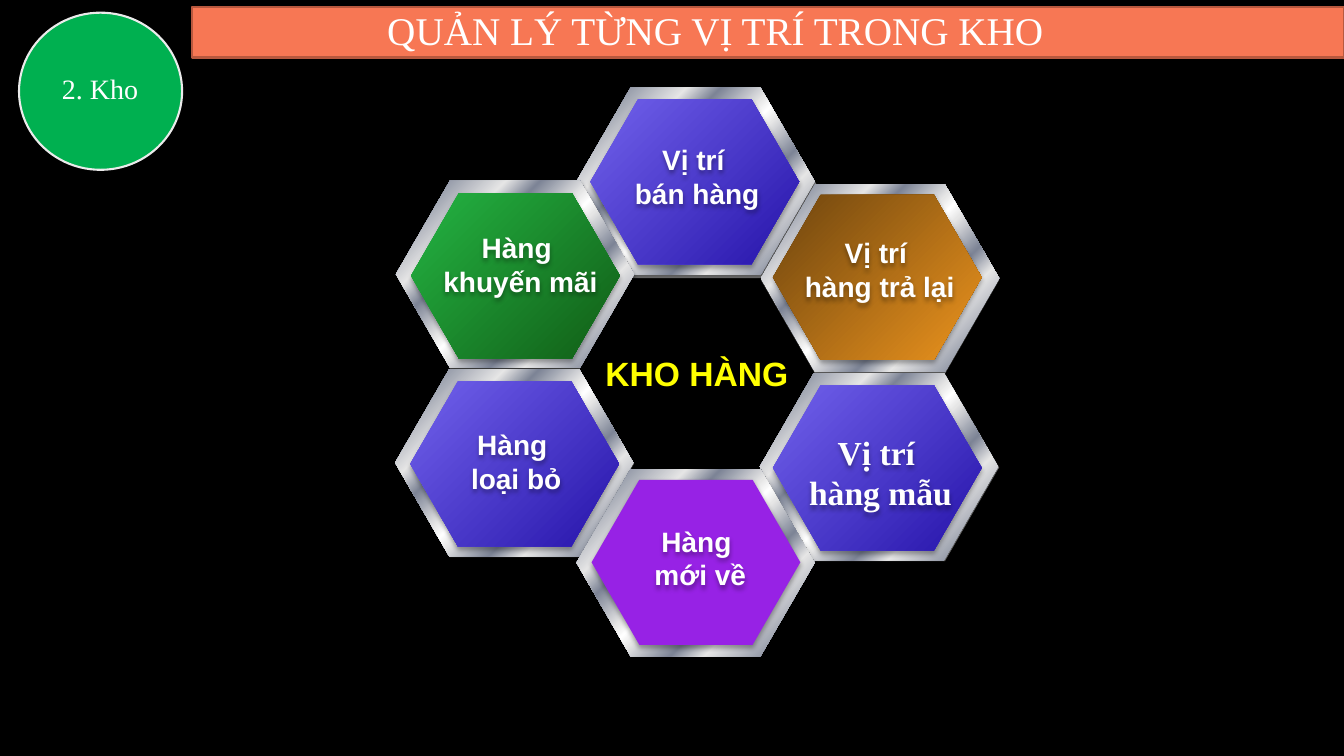
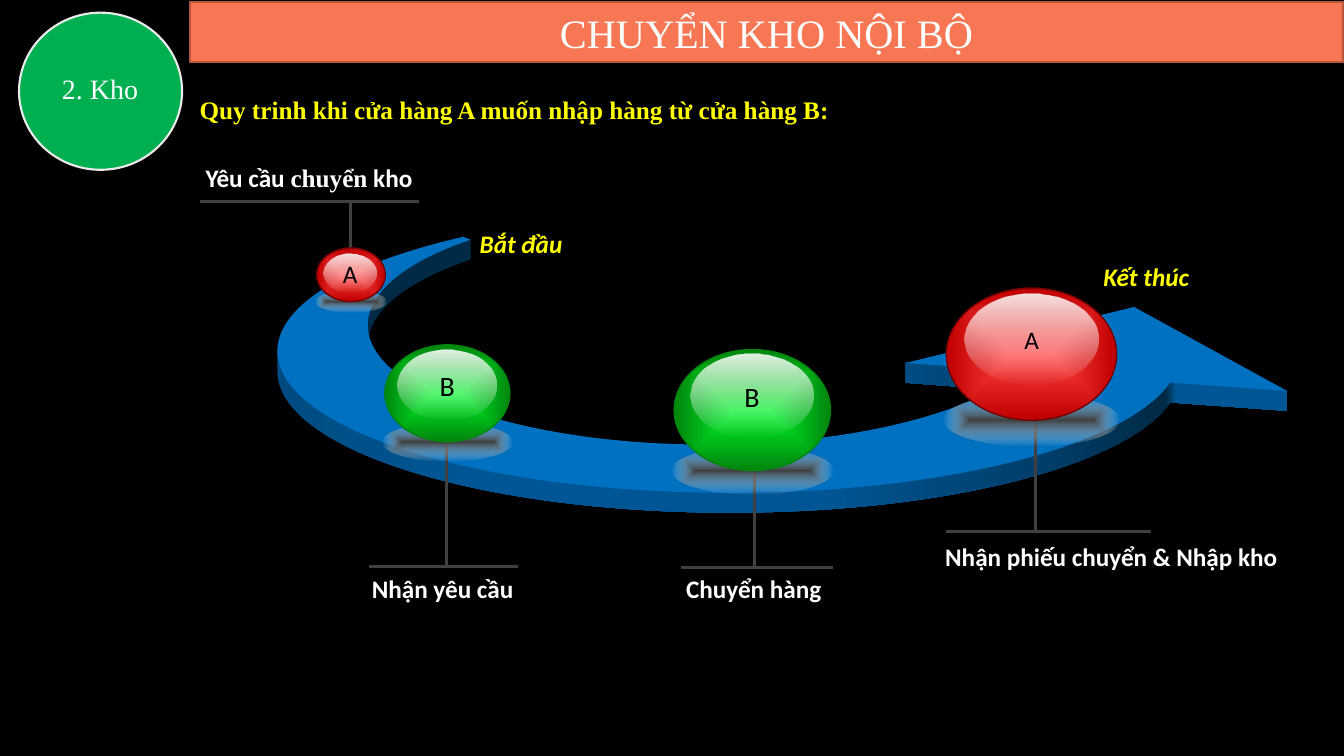
from lxml import etree
from pptx import Presentation
from pptx import util as u
from pptx.dml.color import RGBColor
from pptx.enum import shapes, text
from pptx.oxml import parse_xml
from pptx.oxml.ns import qn

A_NS = 'xmlns:a="http://schemas.openxmlformats.org/drawingml/2006/main"'
SERIF, SANS, BODY = "Times New Roman", "Arial", "Calibri"
BLACK, WHITE, YELLOW, GREY = "000000", "FFFFFF", "FFFF00", "404040"
BAND, BAND_LINE, BADGE, BADGE_LINE = "F77754", "B7583E", "00B050", "EBEBEB"

BASE = "808080"
STEEL = [(0, "E6E6E6"), (8, "7D8496"), (26, "E6E6E6"), (34, "7D8496"),
         (46, "E6E6E6"), (50, "FFFFFF"), (54, "E6E6E6"), (66, "7D8496"),
         (74, "E6E6E6"), (92, "7D8496"), (100, "E6E6E6")]
BLUE = [(0, "7262EC"), (100, "2614AA")]
GREEN = [(0, "24B443"), (100, "115D16")]
BROWN = [(0, "6D440E"), (100, "EC941E")]
PURPLE = "9722E5"

# Lengths in cm. Hexagon: lines, font, size, face paint,
# centres of base (if any), rim, face and label
RIM, FACE, LABEL = (6.0, 4.72), (5.26, 4.16), (4.6, 2.0)
LOCATIONS = [
    ("Vị trí \nbán hàng", SANS, 20, BLUE,
     (17.58, 4.65), (17.53, 4.57), (17.51, 4.58), (17.57, 4.44)),
    ("Hàng \nkhuyến mãi", SANS, 20, GREEN,
     (12.98, 6.93), (12.98, 6.91), (12.99, 6.95), (13.12, 6.66)),
    ("Vị trí \nhàng trả lại", SANS, 20, BROWN,
     (22.18, 7.06), (22.18, 7.01), (22.11, 6.99), (22.17, 6.79)),
    ("Vị trí \nhàng mẫu", SERIF, 24, BLUE,
     (22.18, 11.78), (22.15, 11.76), (22.11, 11.79), (22.19, 11.9)),
    ("Hàng \nloại bỏ", SANS, 20, BLUE,
     (12.98, 11.68), (12.96, 11.66), (12.97, 11.69), (13.01, 11.62)),
    ("Hàng \nmới về", SANS, 20, PURPLE,
     None, (17.53, 14.18), (17.54, 14.17), (17.65, 14.06)),
]

RED_BALL = ([(0, "FF4242"), (100, "C00000")], "760000")
GREEN_BALL = ([(0, "00F228"), (100, "00860D")], "00860D")
HALO = [(0, GREY, 100), (100, WHITE, 0)]
GLOSS = [(0, WHITE, 90), (100, WHITE, 0)]
# Letter, size, paint, ball box, gloss box, stem x, bar (from x, to x, y),
# label position, label runs
STEPS = [
    ("A", 18, RED_BALL, (7.98, 6.25, 1.73, 1.35), (8.15, 6.4, 1.35, 0.97),
     8.84, (5.03, 10.57, 5.08),
     (4.93, 3.96), [("Yêu cầu ", BODY), ("chuyển", SERIF), (" kho", BODY)]),
    ("B", 20, GREEN_BALL, (9.7, 8.69, 3.15, 2.44), (10.03, 8.81, 2.49, 1.78),
     11.25, (9.3, 13.06, 14.27),
     (9.12, 14.33), [("Nhận yêu cầu", BODY)]),
    ("B", 20, GREEN_BALL, (16.99, 8.81, 3.94, 3.05), (17.4, 8.92, 3.1, 2.11),
     19.02, (17.17, 20.98, 14.29),
     (17.04, 14.33), [("Chuyển hàng", BODY)]),
    ("A", 18, RED_BALL, (23.85, 7.26, 4.29, 3.33), (24.31, 7.39, 3.38, 2.31),
     26.09, (23.85, 29.01, 13.39),
     (23.57, 13.51), [("Nhận phiếu chuyển & Nhập kho", BODY)]),
]
ENDS = [("Kết thúc", 27.56, 6.45), ("Bắt đầu", 11.84, 5.64)]

# The arrow seen from above; it is then tilted and given a thickness.
# Edges are lists of pieces: four points make a curve, two a line.
TILT, RISE, DEPTH = 0.424, 5.3, 0.5
TAIL_INNER = [[(11.86, 1.75), (10.26, 3.02), (9.27, 4.83), (9.27, 6.83)]]
INNER = [[(9.27, 6.83), (9.27, 10.74), (13.11, 13.92), (17.83, 13.92)],
         [(17.83, 13.92), (21.39, 13.92), (24.43, 12.12), (25.73, 9.58)]]
BARB = [[(25.73, 9.58), (22.83, 9.07)]]
HEAD = [[(22.83, 9.07), (28.58, 5.74)], [(28.58, 5.74), (32.44, 10.74)]]
NECK = [[(32.44, 10.74), (29.49, 10.24)]]
OUTER = [[(29.49, 10.24), (28.37, 14.0), (23.83, 16.79), (18.39, 16.79)],
         [(18.39, 16.79), (12.09, 16.79), (6.99, 13.03), (6.99, 8.38)]]
TAIL_OUTER = [[(6.99, 8.38), (6.99, 5.56), (8.84, 3.1), (11.68, 1.57)]]
ARROW, WALL, DARK_WALL = "0070C0", "005694", "002A45"
OUTER_WALL = [(0, "004C82"), (20, WALL), (53, WALL), (75, "003F6C"),
              (88, DARK_WALL), (89, WALL), (100, WALL)]


def rgb(value):
    return RGBColor.from_string(value)


def paint(shape, fill, angle=45, radial=False):
    """Fill with one colour, or with a gradient given as (position, colour[, alpha]) stops."""
    if isinstance(fill, str):
        shape.fill.solid()
        shape.fill.fore_color.rgb = rgb(fill)
        return
    stops = ""
    for position, color, *alpha in fill:
        opacity = f'<a:alpha val="{alpha[0] * 1000}"/>' if alpha else ""
        stops += (f'<a:gs pos="{position * 1000}"><a:srgbClr val="{color}">'
                  f'{opacity}</a:srgbClr></a:gs>')
    course = (f'<a:lin ang="{angle * 60000}" scaled="0"/>' if not radial else
              '<a:path path="shape"><a:fillToRect l="50000" t="50000" r="50000" b="50000"/></a:path>')
    shape.fill.background()
    plain = shape.element.spPr.find(qn("a:noFill"))
    plain.getparent().replace(plain, parse_xml(
        f'<a:gradFill {A_NS} rotWithShape="1"><a:gsLst>{stops}</a:gsLst>{course}</a:gradFill>'))


def finish(shape, fill, line=None, width=1.5, **gradient):
    shape.shadow.inherit = False
    paint(shape, fill, **gradient)
    if line:
        shape.line.color.rgb = rgb(line)
        shape.line.width = u.Pt(width)
    else:
        shape.line.fill.background()
    return shape


def add_preset(page, kind, box, fill, line=None, width=1.5, **gradient):
    shape = page.shapes.add_shape(kind, *(u.Cm(v) for v in box))
    return finish(shape, fill, line, width, **gradient)


def drop_shadow(shape):
    shape.shadow.inherit = False
    effects = shape.element.spPr.find(qn("a:effectLst"))
    effects.append(parse_xml(
        f'<a:outerShdw {A_NS} blurRad="44450" dist="27940" dir="5400000" algn="ctr" '
        'rotWithShape="0"><a:srgbClr val="000000"><a:alpha val="32000"/></a:srgbClr></a:outerShdw>'))


def write(shape, lines, size, color, align=text.PP_ALIGN.CENTER, bold=False,
          italic=False, anchor=text.MSO_ANCHOR.MIDDLE, wrap=True, spacing=None):
    """Write lines, each a list of (text, font) runs."""
    frame = shape.text_frame
    frame.word_wrap = wrap
    frame.vertical_anchor = anchor
    for index, runs in enumerate(lines):
        para = frame.add_paragraph() if index else frame.paragraphs[0]
        para.alignment = align
        para.line_spacing = spacing
        for words, font in runs:
            span = para.add_run()
            span.text = words
            span.font.name = font
            span.font.size = u.Pt(size)
            span.font.bold = bold
            span.font.italic = italic
            span.font.color.rgb = rgb(color)


def add_text(page, box, lines, size, color, **style):
    shape = page.shapes.add_textbox(*(u.Cm(v) for v in box))
    write(shape, lines, size, color, **style)
    return shape


def add_note(page, left, top, width, runs, color, italic=False):
    add_text(page, (left, top, width, 1.03), [runs], 18, color, bold=True, italic=italic,
             align=text.PP_ALIGN.LEFT, anchor=text.MSO_ANCHOR.TOP)


def add_line(page, x1, y1, x2, y2):
    line = page.shapes.add_connector(shapes.MSO_CONNECTOR.STRAIGHT,
                                     *(u.Cm(v) for v in (x1, y1, x2, y2)))
    line.line.color.rgb = rgb(GREY)
    line.line.width = u.Pt(2.25)
    etree.SubElement(line.element.spPr, qn("a:effectLst"))


def centred(centre, size):
    return centre[0] - size[0] / 2, centre[1] - size[1] / 2, *size


def add_page(deck):
    page = deck.slides.add_slide(deck.slide_layouts[6])
    page.background.fill.solid()
    page.background.fill.fore_color.rgb = rgb(BLACK)
    return page


def add_band(page, title, box, size, indent=None):
    """Title band; centred unless an indent from the left is given."""
    band = add_preset(page, shapes.MSO_SHAPE.RECTANGLE, box, BAND, BAND_LINE)
    align, spacing = text.PP_ALIGN.CENTER, None
    if indent:
        band.text_frame.margin_left = u.Cm(indent)
        align, spacing = text.PP_ALIGN.LEFT, 0.9
    write(band, [[(title, SERIF)]], size, WHITE, align=align, spacing=spacing)


def add_badge(page):
    add_preset(page, shapes.MSO_SHAPE.OVAL, (0.48, 0.32, 4.11, 3.96), BADGE, BADGE_LINE)
    add_text(page, (1.07, 0.89, 2.9, 2.79), [[("2. Kho", SERIF)]], 20, WHITE, spacing=0.9)


def add_hexagon(page, centre, size, fill):
    shape = add_preset(page, shapes.MSO_SHAPE.HEXAGON, centred(centre, size), fill)
    shape.adjustments[0] = 0.289
    drop_shadow(shape)


def add_outline(page, contours, fill):
    """Freeform of closed contours, each a list of lines and curves."""
    builder = None
    for pieces in contours:
        points = [(u.Cm(x), u.Cm(y)) for piece in pieces for x, y in piece[1:]]
        start = [u.Cm(v) for v in pieces[0][0]]
        if builder:
            builder.move_to(*start)
        else:
            builder = page.shapes.build_freeform(*start)
        builder.add_line_segments(points, close=True)
    shape = builder.convert_to_shape()
    steps = iter(list(shape.element.spPr.iter(qn("a:lnTo"))))
    for pieces in contours:
        for piece in pieces:
            first, *others = [next(steps) for _ in piece[1:]]
            if others:
                first.tag = qn("a:cubicBezTo")
                for other in others:
                    first.append(other[0])
                    other.getparent().remove(other)
    finish(shape, fill, angle=0)


def tilt(pieces, drop=0):
    return [[(x, RISE + TILT * y + drop) for x, y in piece] for piece in pieces]


def wall(pieces):
    """Contour of the side face that hangs below an edge."""
    upper, lower = tilt(pieces), tilt(pieces, DEPTH)
    back = [piece[::-1] for piece in reversed(lower)]
    return upper + [[upper[-1][-1], back[0][0]]] + back


def add_arrow(page):
    add_outline(page, [wall(TAIL_INNER)], DARK_WALL)
    add_outline(page, [wall(edge) for edge in (OUTER, BARB, NECK)], OUTER_WALL)
    add_outline(page, [tilt(TAIL_INNER + INNER + BARB + HEAD + NECK + OUTER + TAIL_OUTER)], ARROW)


def add_step(page, letter, size, colors, ball, gloss, stem, bar, spot, label):
    left, top, width, height = ball
    start, end, level = bar
    oval = shapes.MSO_SHAPE.OVAL
    add_line(page, stem, top + height / 2, stem, level)
    add_line(page, start, level, end, level)
    add_preset(page, oval, centred((left + width / 2, top + height), (width * 1.035, height * 0.4)),
               HALO, radial=True)
    add_preset(page, oval, ball, *colors, width=1, radial=True)
    shine = add_preset(page, oval, gloss, GLOSS, angle=90)
    write(shine, [[(letter, BODY)]], size, BLACK, wrap=False)
    add_note(page, *spot, 9.5, label, WHITE)


def build_locations(deck):
    page = add_page(deck)
    for words, font, size, fill, base, rim, face, label in LOCATIONS:
        if base:
            add_hexagon(page, base, RIM, BASE)
        add_hexagon(page, rim, RIM, STEEL)
        add_hexagon(page, face, FACE, fill)
        box = add_text(page, centred(label, LABEL), [[(line, font)] for line in words.split("\n")],
                       size, WHITE, bold=True, wrap=False)
        drop_shadow(box)
    add_text(page, centred((17.56, 9.4), (5.26, 1.27)), [[("KHO HÀNG", SANS)]],
             24, YELLOW, bold=True)
    add_band(page, "QUẢN LÝ TỪNG VỊ TRÍ TRONG KHO", (4.83, 0.18, 29.04, 1.27), 28, indent=4.93)
    add_badge(page)


def build_transfer(deck):
    page = add_page(deck)
    add_band(page, "CHUYỂN KHO NỘI BỘ", (4.78, 0.05, 29.08, 1.52), 28.8)
    add_arrow(page)
    for step in STEPS:
        add_step(page, *step)
    for words, left, top in ENDS:
        add_note(page, left, top, 4, [(words, BODY)], YELLOW, italic=True)
    add_note(page, 4.78, 2.26, 18.24,
             [("Quy trinh khi cửa hàng A muốn nhập hàng từ cửa hàng B:", SERIF)], YELLOW)
    add_badge(page)


def main():
    deck = Presentation()
    deck.slide_width, deck.slide_height = u.Cm(33.87), u.Cm(19.05)
    build_locations(deck)
    build_transfer(deck)
    deck.save("out.pptx")


if __name__ == "__main__":
    main()
